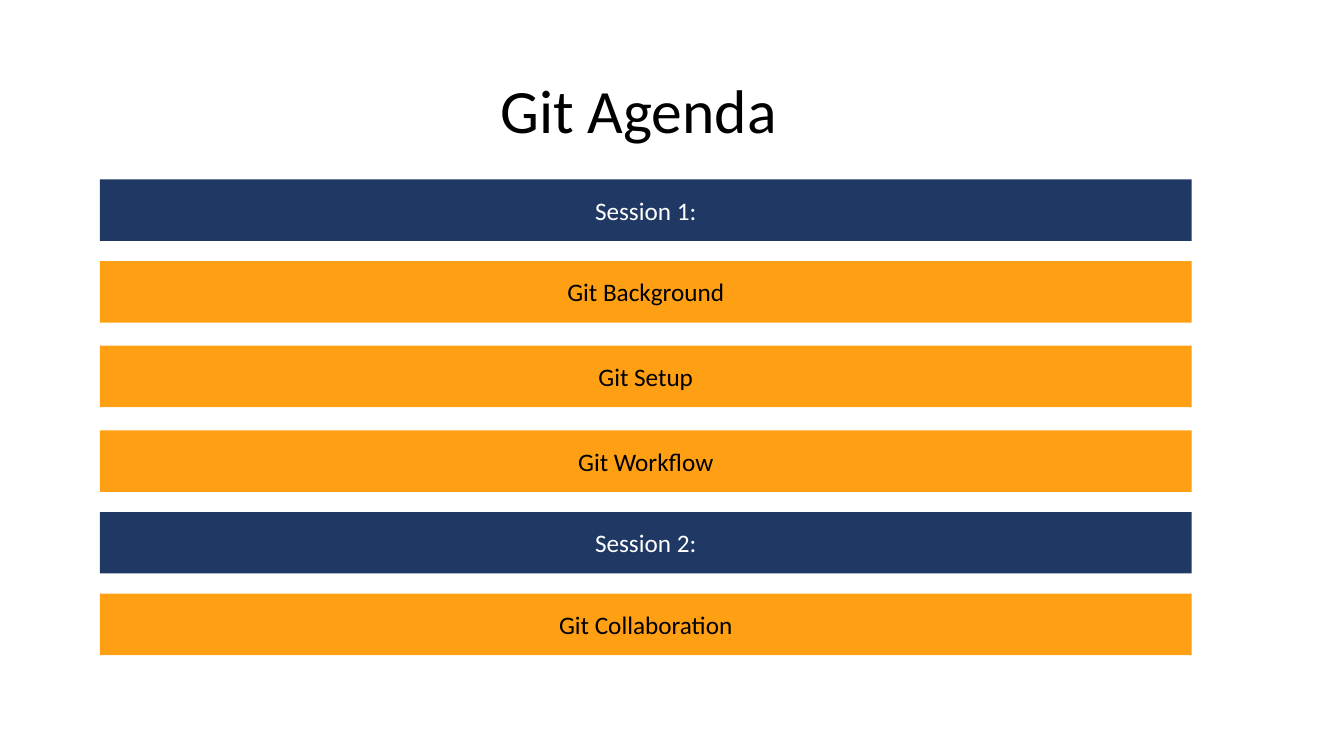
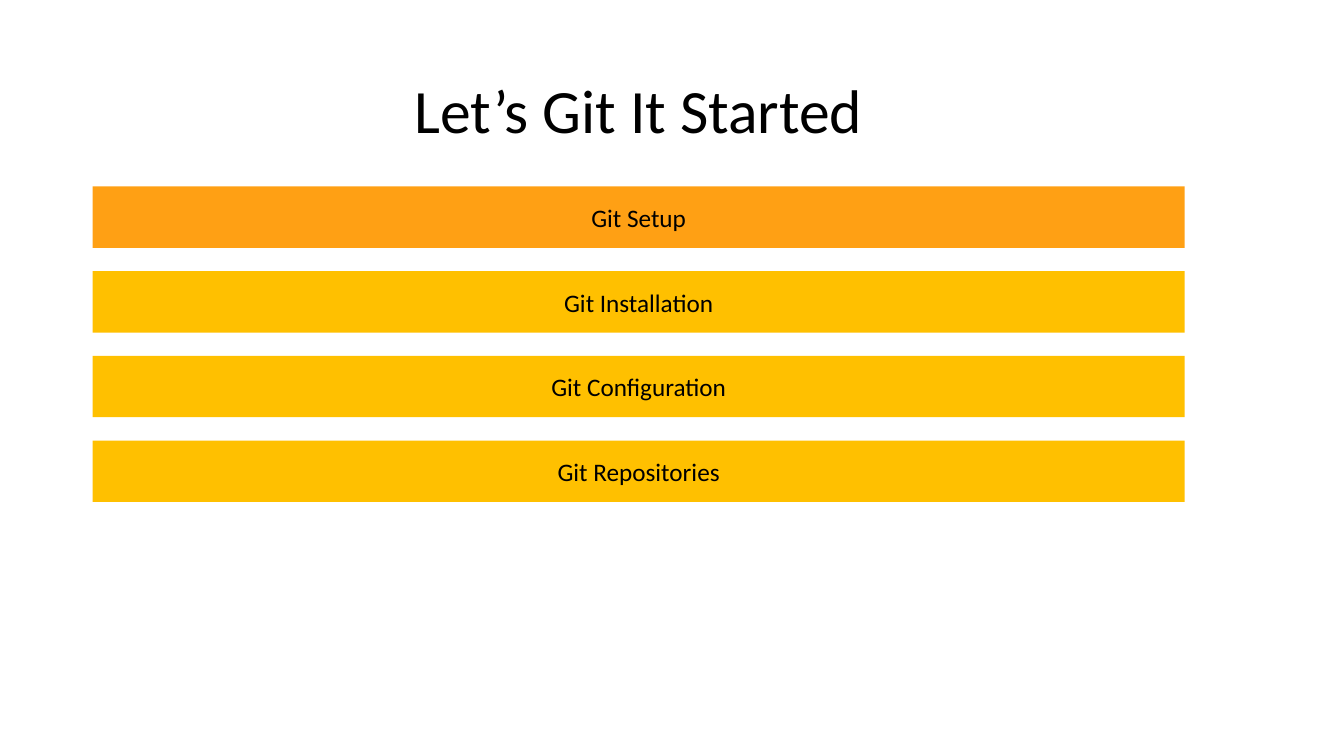
from pptx import Presentation
from pptx.dml.color import RGBColor
from pptx.enum.shapes import MSO_SHAPE as Preset
from pptx.enum.text import MSO_ANCHOR as Anchor, PP_ALIGN as Align
from pptx.util import Inches, Pt

COLORS = {
    "black": "000000",
    "white": "FFFFFF",
    "navy": "203864",
    "orange": "FFA014",
    "amber": "FFC000",
}
BAND_STYLES = {
    "session": ("navy", "white"),
    "topic": ("orange", "black"),
    "step": ("amber", "black"),
}
SLIDE_WIDTH, SLIDE_HEIGHT = 13.33, 7.5
COLUMN_LEFT, COLUMN_WIDTH = 0.92, 10.83
TITLE_TOP, TITLE_HEIGHT = 0.4, 1.45
BAND_HEIGHT = 0.61
ROW_PITCH, SESSION_PITCH = 0.84, 0.81

TITLE_FORMAT = {"name": "Calibri", "size": Pt(44)}
BAND_FORMAT = {"name": "Calibri", "size": Pt(18)}


def color(name):
    return RGBColor.from_string(COLORS[name])


def write_centered(shape, text, font_format, text_color, line_spacing=1.0):
    frame = shape.text_frame
    frame.word_wrap = True
    frame.vertical_anchor = Anchor.MIDDLE
    paragraph = frame.paragraphs[0]
    paragraph.text = text
    paragraph.alignment = Align.CENTER
    paragraph.line_spacing = line_spacing
    for attribute, value in font_format.items():
        setattr(paragraph.font, attribute, value)
    paragraph.font.color.rgb = color(text_color)


def add_title(slide, text):
    box = slide.shapes.add_textbox(
        Inches(COLUMN_LEFT), Inches(TITLE_TOP), Inches(COLUMN_WIDTH), Inches(TITLE_HEIGHT))
    write_centered(box, text, TITLE_FORMAT, "black", line_spacing=0.9)


def add_band(slide, left, top, kind, text):
    fill_color, text_color = BAND_STYLES[kind]
    band = slide.shapes.add_shape(
        Preset.RECTANGLE, Inches(left), Inches(top), Inches(COLUMN_WIDTH), Inches(BAND_HEIGHT))
    band.shadow.inherit = False
    band.fill.solid()
    band.fill.fore_color.rgb = color(fill_color)
    band.line.fill.background()
    write_centered(band, text, BAND_FORMAT, text_color)


def add_band_stack(slide, left, top, bands):
    """Stack bands downwards, a little tighter next to a session heading."""
    previous_kind = None
    for kind, text in bands:
        if previous_kind:
            top += SESSION_PITCH if "session" in (previous_kind, kind) else ROW_PITCH
        add_band(slide, left, top, kind, text)
        previous_kind = kind


def add_agenda_slide(presentation, title, left, top, bands):
    slide = presentation.slides.add_slide(presentation.slide_layouts[6])
    add_title(slide, title)
    add_band_stack(slide, left, top, bands)


def main():
    presentation = Presentation()
    presentation.slide_width = Inches(SLIDE_WIDTH)
    presentation.slide_height = Inches(SLIDE_HEIGHT)

    add_agenda_slide(presentation, "Git Agenda", COLUMN_LEFT + 0.07, 1.78, [
        ("session", "Session 1:"),
        ("topic", "Git Background"),
        ("topic", "Git Setup"),
        ("topic", "Git Workflow"),
        ("session", "Session 2:"),
        ("topic", "Git Collaboration"),
    ])
    add_agenda_slide(presentation, "Let’s Git It Started", COLUMN_LEFT, TITLE_TOP + TITLE_HEIGHT, [
        ("topic", "Git Setup"),
        ("step", "Git Installation"),
        ("step", "Git Configuration"),
        ("step", "Git Repositories"),
    ])
    presentation.save("out.pptx")


if __name__ == "__main__":
    main()
